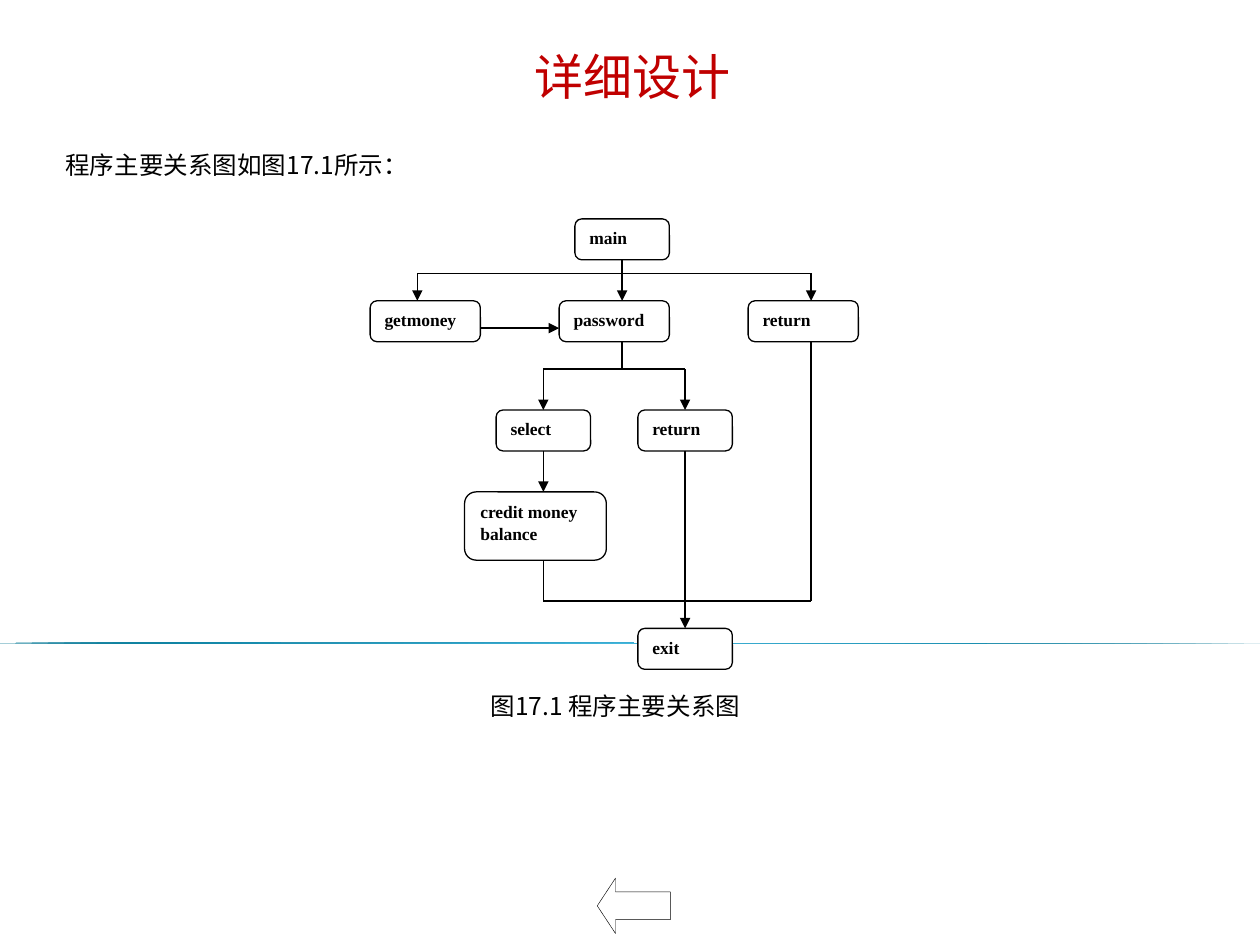
from lxml import etree
from pptx import Presentation
from pptx.dml.color import RGBColor
from pptx.enum import shapes, text
from pptx.oxml import parse_xml
from pptx.oxml.ns import nsdecls, qn
from pptx.util import Pt

COLORS = {"title": "C00000", "ink": "000000", "paper": "FFFFFF",
          "teal": "007593", "sky": "48BAE0"}
CJK, LATIN = "Noto Sans CJK SC", "Times New Roman"

TITLE = "详细设计"
INTRO = "程序主要关系图如图17.1所示："
CAPTION = "图17.1 程序主要关系图"

LEFT, TOP, COL, ROW = 211.5, 125.1, 9, 7.8
NODES = [
    (["main"], 13, 0, 6, 3),
    (["getmoney"], 0, 6, 7, 3),
    (["password"], 12, 6, 7, 3),
    (["return"], 24, 6, 7, 3),
    (["select"], 8, 14, 6, 3),
    (["return"], 17, 14, 6, 3),
    (["credit money", "balance"], 6, 20, 9, 5),
    (["exit"], 17, 30, 6, 3),
]
ARROWS = [
    (16, 3, 16, 6), (3, 4, 3, 6), (28, 4, 28, 6), (7, 8, 12, 8),
    (20, 11, 20, 14), (11, 11, 11, 14), (11, 17, 11, 20), (20, 28, 20, 30),
]
LINES = [
    (16, 4, 3, 4), (16, 4, 28, 4), (11, 11, 20, 11), (16, 9, 16, 11),
    (11, 28, 28, 28), (11, 25, 11, 28), (20, 17, 20, 28), (28, 9, 28, 28),
]
TITLE_BOX = (163.4, 16.6, 396, 53.3)
BODY_BOX = (33.8, 84.2, 635.8, 354.2)
RULE_BOX = (0, 367.2, 720, 0.5)
BACK_BOX = (341.3, 501.8, 41.8, 31.7)


def rgb(name):
    return RGBColor.from_string(COLORS[name])


def apply(obj, values):
    for name, value in values.items():
        setattr(obj, name, value)


def place(sp, box):
    apply(sp, dict(zip(("left", "top", "width", "height"), map(Pt, box))))


def write(tf, lines, font, color, para, frame):
    apply(tf, {"word_wrap": True, "auto_size": text.MSO_AUTO_SIZE.NONE, **frame})
    for i, line in enumerate(lines):
        p = tf.paragraphs[0] if i == 0 else tf.add_paragraph()
        apply(p, para)
        r = p.add_run()
        r.text = line
        apply(r.font, font)
        r.font.color.rgb = rgb(color)
        ea = etree.SubElement(r._r.get_or_add_rPr(), qn("a:ea"))
        ea.set("typeface", font["name"])


def add_preset(parent, kind, box):
    sp = parent.add_shape(kind, *map(Pt, box))
    sp.shadow.inherit = False
    return sp


def outline(sp, width):
    sp.line.color.rgb = rgb("ink")
    sp.line.width = Pt(width)


def add_link(parent, ends, arrow):
    x1, y1, x2, y2 = ends
    points = (LEFT + x1 * COL, TOP + y1 * ROW, LEFT + x2 * COL, TOP + y2 * ROW)
    cn = parent.add_connector(shapes.MSO_CONNECTOR.STRAIGHT, *map(Pt, points))
    outline(cn, 0.75)
    if arrow:
        etree.SubElement(cn.line._get_or_add_ln(), qn("a:tailEnd")).set("type", "triangle")
    etree.SubElement(cn._element.spPr, qn("a:effectLst"))


def add_rule(parent):
    sp = add_preset(parent, shapes.MSO_SHAPE.RIGHT_TRIANGLE, RULE_BOX)
    sp.line.fill.background()
    stops = "".join(
        f'<a:gs pos="{pos}"><a:srgbClr val="{COLORS[name]}"/></a:gs>'
        for pos, name in ((0, "teal"), (50000, "sky"), (100000, "teal")))
    grad = parse_xml(f'<a:gradFill {nsdecls("a")}><a:gsLst>{stops}</a:gsLst>'
                     '<a:lin ang="3000000" scaled="1"/></a:gradFill>')
    sp._element.spPr.find(qn("a:prstGeom")).addnext(grad)


def add_node(parent, lines, x, y, w, h):
    box = (LEFT + x * COL, TOP + y * ROW, w * COL, h * ROW)
    sp = add_preset(parent, shapes.MSO_SHAPE.ROUNDED_RECTANGLE, box)
    sp.adjustments[0] = 0.17
    sp.fill.solid()
    sp.fill.fore_color.rgb = rgb("paper")
    outline(sp, 0.75)
    write(sp.text_frame, lines, {"name": LATIN, "size": Pt(10), "bold": True}, "ink",
          {"alignment": text.PP_ALIGN.JUSTIFY},
          {"vertical_anchor": text.MSO_ANCHOR.TOP})


def main():
    prs = Presentation()
    apply(prs, {"slide_width": Pt(720), "slide_height": Pt(540)})
    s = prs.slides.add_slide(prs.slide_layouts[0])
    title, body = s.shapes.title, s.placeholders[1]

    place(title, TITLE_BOX)
    write(title.text_frame, [TITLE], {"name": CJK, "size": Pt(28)}, "title",
          {"alignment": text.PP_ALIGN.CENTER},
          {"vertical_anchor": text.MSO_ANCHOR.MIDDLE})

    place(body, BODY_BOX)
    margins = dict.fromkeys(
        ("margin_left", "margin_top", "margin_right", "margin_bottom"), Pt(3.6))
    write(body.text_frame, [INTRO, CAPTION], {"name": CJK, "size": Pt(14)}, "ink",
          {"alignment": text.PP_ALIGN.LEFT, "line_spacing": 0.9, "space_before": Pt(0)},
          {"vertical_anchor": text.MSO_ANCHOR.TOP, **margins})
    apply(body.text_frame.paragraphs[1],
          {"alignment": text.PP_ALIGN.CENTER, "space_before": Pt(294)})

    add_rule(s.shapes)
    chart = s.shapes.add_group_shape().shapes
    for node in NODES:
        add_node(chart, *node)
    for links, arrow in ((ARROWS, True), (LINES, False)):
        for ends in links:
            add_link(chart, ends, arrow)

    back = add_preset(s.shapes, shapes.MSO_SHAPE.LEFT_ARROW, BACK_BOX)
    back.adjustments[1] = 0.33
    back.fill.background()
    outline(back, 0.25)
    prs.save("out.pptx")


if __name__ == "__main__":
    main()
